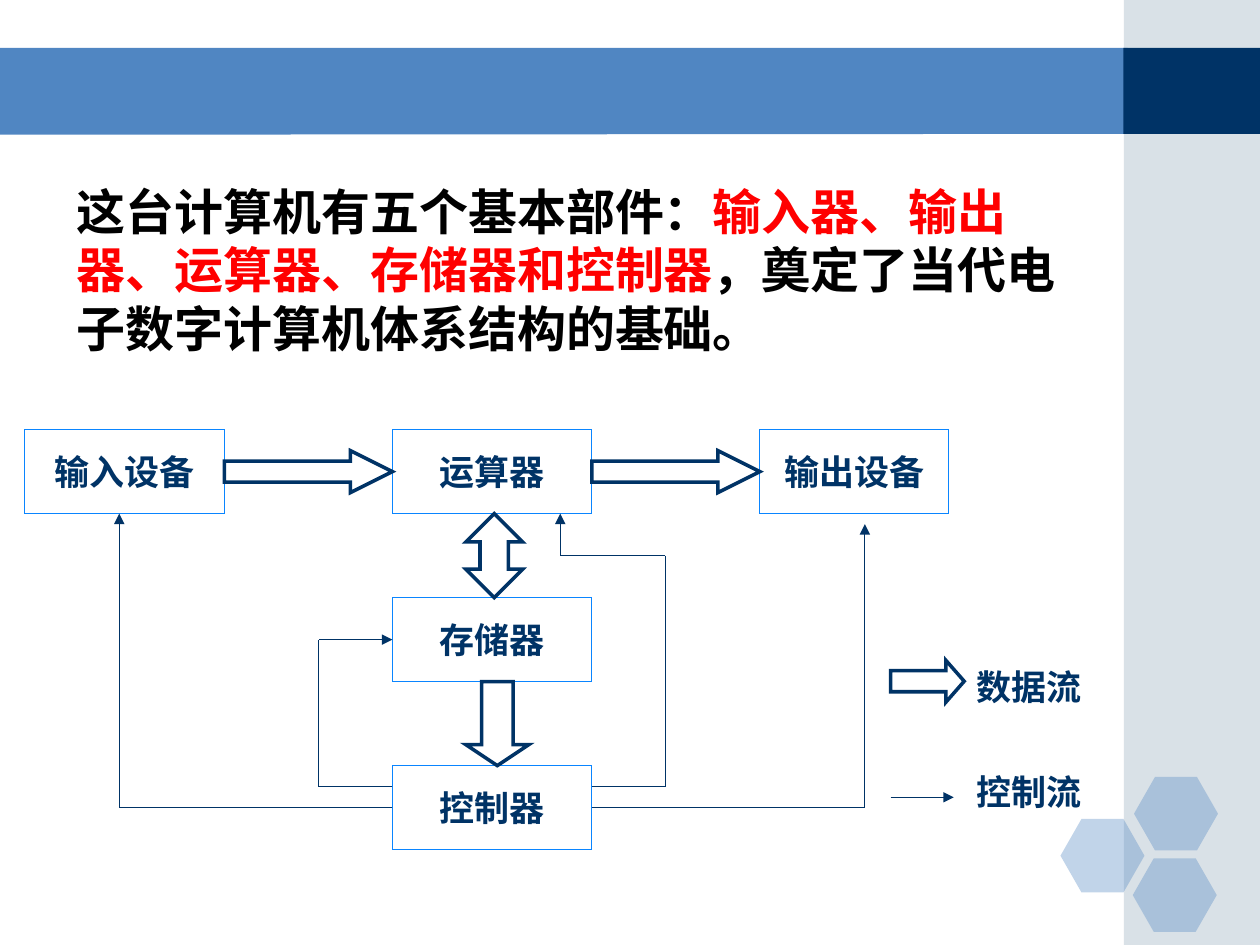
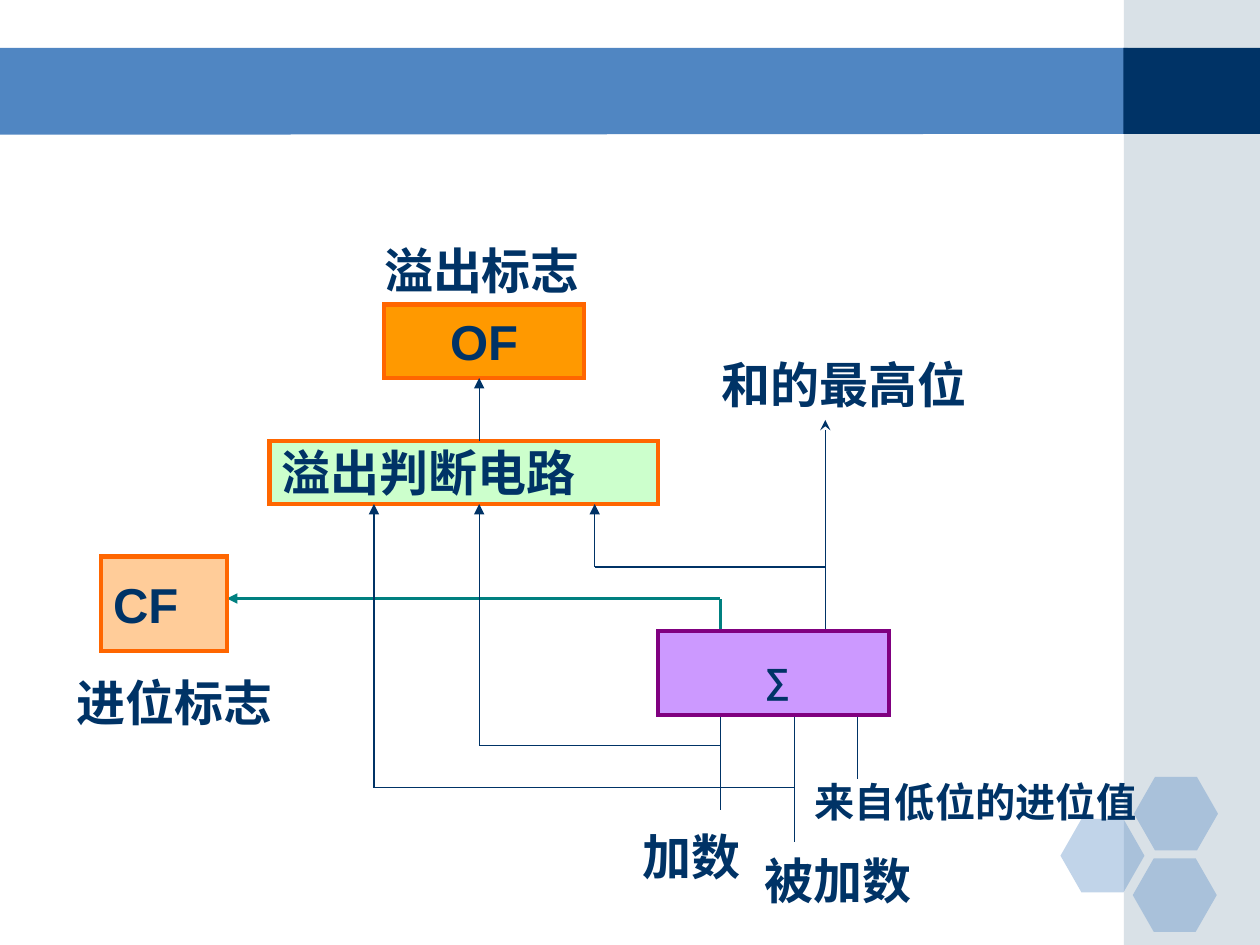
import pptx
import pptx.dml.color
import pptx.enum.shapes
import pptx.enum.text
import pptx.oxml.ns
import pptx.util
from lxml import etree

Pt = pptx.util.Pt
RGBColor = pptx.dml.color.RGBColor
SHAPE = pptx.enum.shapes.MSO_SHAPE
ALIGN = pptx.enum.text.PP_ALIGN
ANCHOR = pptx.enum.text.MSO_ANCHOR
qn = pptx.oxml.ns.qn

NAVY = RGBColor(0x00, 0x33, 0x66)
BAND_BLUE = RGBColor(0x50, 0x86, 0xC2)
SIDE_GRAY = RGBColor(0xA0, 0xB5, 0xC4)
BOX_BLUE = RGBColor(0x0A, 0x85, 0xFF)
BLACK = RGBColor(0x00, 0x00, 0x00)
WHITE = RGBColor(0xFF, 0xFF, 0xFF)
RED = RGBColor(0xFF, 0x00, 0x00)
TEAL = RGBColor(0x00, 0x80, 0x80)
ORANGE_LINE = RGBColor(0xFF, 0x66, 0x00)
ORANGE = RGBColor(0xFF, 0x99, 0x00)
PEACH = RGBColor(0xFF, 0xCC, 0x99)
MINT = RGBColor(0xCC, 0xFF, 0xCC)
LILAC = RGBColor(0xCC, 0x99, 0xFF)
PURPLE = RGBColor(0x80, 0x00, 0x80)

LATIN_FONT = "Arial"
CHINESE_FONT = "Noto Sans CJK SC"


def write_text(shape, text, size=28, color=NAVY, align=ALIGN.LEFT,
               anchor=ANCHOR.TOP, font=LATIN_FONT, inset=(7.2, 3.6)):
    runs = [(text, color)] if isinstance(text, str) else text
    frame = shape.text_frame
    frame.word_wrap = True
    frame.auto_size = pptx.enum.text.MSO_AUTO_SIZE.NONE
    frame.vertical_anchor = anchor
    frame.margin_left = frame.margin_right = Pt(inset[0])
    frame.margin_top = frame.margin_bottom = Pt(inset[1])
    paragraph = frame.paragraphs[0]
    paragraph.alignment = align
    paragraph.space_before = Pt(0)
    if not runs[0][0].isascii():
        paragraph.line_spacing = Pt(round(1.195 * size, 1))
    for run_text, run_color in runs:
        run = paragraph.add_run()
        run.text = run_text
        run.font.name = font
        run.font.size = Pt(size)
        run.font.bold = True
        run.font.color.rgb = run_color
        east_asian = etree.SubElement(run.font._element, qn("a:ea"))
        east_asian.set("typeface", CHINESE_FONT)
    return paragraph


def add_label(slide, box, text, **text_format):
    label = slide.shapes.add_textbox(*map(Pt, box))
    write_text(label, text, **text_format)


def style_shape(shape, fill=None, line=None, width=0.75, opacity=None):
    shape.shadow.inherit = False
    if fill is None:
        shape.fill.background()
    else:
        shape.fill.solid()
        shape.fill.fore_color.rgb = fill
    if opacity:
        color = shape.fill._xPr.find(qn("a:solidFill"))[0]
        etree.SubElement(color, qn("a:alpha")).set("val", str(opacity * 1000))
    if line is None:
        shape.line.fill.background()
    else:
        shape.line.color.rgb = line
        shape.line.width = Pt(width)
        outline = shape.line._get_or_add_ln()
        etree.SubElement(outline, qn("a:miter")).set("lim", "800000")


def add_block(slide, kind, box, adjustments=(), **style):
    shape = slide.shapes.add_shape(kind, *map(Pt, box))
    for index, value in enumerate(adjustments):
        shape.adjustments[index] = value
    style_shape(shape, **style)
    return shape


def add_path(slide, origin, points, arrow=None, color=NAVY, width=0.75):
    left, top = origin
    places = [(Pt(left + x), Pt(top + y)) for x, y in points]
    for start, end in zip(places, places[1:]):
        connector = slide.shapes.add_connector(
            pptx.enum.shapes.MSO_CONNECTOR.STRAIGHT, *start, *end)
        connector.line.color.rgb = color
        connector.line.width = Pt(width)
        etree.SubElement(connector._element.spPr, qn("a:effectLst"))
    if arrow:
        line = connector.line._get_or_add_ln()
        etree.SubElement(line, qn("a:tailEnd")).set("type", arrow)


def add_frame(slide):
    builder = slide.shapes.build_freeform(Pt(-0.7), Pt(27.4))
    builder.add_line_segments(
        [(Pt(644.4), Pt(27.4)), (Pt(644.4), Pt(76.5)), (Pt(-0.7), Pt(77))])
    style_shape(builder.convert_to_shape(), fill=BAND_BLUE)
    add_block(slide, SHAPE.RECTANGLE, (642.2, 0, 77.8, 540),
              fill=SIDE_GRAY, opacity=40)
    add_block(slide, SHAPE.RECTANGLE, (642, 27.4, 78, 49.2), fill=NAVY)
    for left, top in ((606, 468), (648, 444), (647.3, 490.5)):
        add_block(slide, SHAPE.HEXAGON, (left, top, 48, 42), (0.286,),
                  fill=BAND_BLUE, opacity=35)


def add_introduction(slide, box):
    body = slide.placeholders[1]
    body.left, body.top, body.width, body.height = map(Pt, box)
    paragraph = write_text(body, [
        ("这台计算机有五个基本部件：", BLACK),
        ("输入器、输出器、运算器、存储器和控制器", RED),
        ("，奠定了当代电子数字计算机体系结构的基础。", BLACK),
    ], font=CHINESE_FONT)
    properties = paragraph._p.get_or_add_pPr()
    for name in ("marL", "indent", "hangingPunct"):
        properties.set(name, "0")
    etree.SubElement(properties, qn("a:buNone"))


def add_data_arrow(slide, kind, box, *adjustments):
    add_block(slide, kind, box, adjustments, fill=WHITE, line=NAVY, width=2)


def add_computer_diagram(slide, origin):
    left, top = origin
    column, row, width, height = 210, 96, 114, 48
    units = (("输入设备", 0, 0, width), ("运算器", 1, 0, width),
             ("输出设备", 2, 0, 108), ("存储器", 1, 1, width),
             ("控制器", 1, 2, width))
    for name, column_index, row_index, unit_width in units:
        unit = add_block(slide, SHAPE.RECTANGLE,
                         (left + column_index * column, top + row_index * row,
                          unit_width, height), line=BOX_BLUE)
        write_text(unit, name, size=20, align=ALIGN.CENTER,
                   anchor=ANCHOR.MIDDLE)
    for index in range(2):
        add_data_arrow(slide, SHAPE.RIGHT_ARROW,
                       (left + index * column + width, top + 12,
                        column - width, 24), 0.5, 1)
    add_data_arrow(slide, SHAPE.UP_DOWN_ARROW,
                   (left + 252, top + height, 32.4, height), 0.296, 0.5)
    add_data_arrow(slide, SHAPE.DOWN_ARROW,
                   (left + 252, top + row + height, 36, height), 0.5, 0.333)
    control_paths = (
        [(210, 216), (54, 216), (54, 48)],
        [(324, 216), (480, 216), (480, 54)],
        [(210, 204), (168, 204), (168, 120), (210, 120)],
        [(324, 204), (366, 204), (366, 72), (306, 72), (306, 48)],
    )
    for points in control_paths:
        add_path(slide, origin, points, arrow="triangle")


def add_legend(slide, origin):
    left, top = origin
    add_data_arrow(slide, SHAPE.RIGHT_ARROW, (left, top, 42, 24), 0.5, 0.437)
    add_path(slide, origin, [(0, 78.3), (36, 78.3)], arrow="triangle")
    for index, name in enumerate(("数据流", "控制流")):
        add_label(slide, (left + 42, top - 0.7 + index * 60, 84, 32), name,
                  size=20)


def add_overflow_diagram(slide, origin):
    left, top = origin
    add_path(slide, origin, [(435.6, 227), (435.6, 107)], arrow="stealth")
    add_path(slide, origin, [(375.7, 227), (375.7, 209), (93.6, 209)],
             arrow="triangle", color=TEAL, width=2)
    boxes = (
        ("CF", (21.6, 185, 72, 54), PEACH, ALIGN.LEFT),
        ("OF", (183.6, 41, 114, 42), ORANGE, ALIGN.CENTER),
        ("溢出判断电路", (118, 119, 222, 36), MINT, ALIGN.LEFT),
    )
    for name, (x, y, width, height), fill, align in boxes:
        box = add_block(slide, SHAPE.RECTANGLE,
                        (left + x, top + y, width, height),
                        fill=fill, line=ORANGE_LINE, width=2.5)
        write_text(box, name, align=align, anchor=ANCHOR.MIDDLE)
    signal_paths = (
        [(237.8, 119), (237.8, 83)],
        [(435.6, 191), (303.8, 191), (303.8, 155)],
        [(375.7, 293), (237.8, 293), (237.8, 155)],
        [(417.8, 317), (177.7, 317), (177.7, 155)],
    )
    for points in signal_paths:
        add_path(slide, origin, points, arrow="triangle")
    for x, bottom in ((375.7, 330), (417.8, 348), (453.8, 312)):
        add_path(slide, origin, [(x, 276), (x, bottom)])
    add_block(slide, SHAPE.RECTANGLE, (left + 340, top + 227.7, 132, 48),
              fill=LILAC, line=PURPLE, width=2.5)
    add_label(slide, (left + 394, top + 240, 36, 32), "∑", size=20)
    add_label(slide, (left + 429.4, top + 311, 230, 27), "来自低位的进位值",
              size=23, font=CHINESE_FONT, inset=(0, 0))
    labels = (("加数", 324, 335.7, 96), ("被加数", 394, 349.4, 100),
              ("进位标志", 0.7, 248, 133), ("溢出标志", 176.4, 1, 140),
              ("和的最高位", 369.4, 66.4, 167))
    for name, x, y, width in labels:
        add_label(slide, (left + x, top + y, width, 41), name)


def build_computer_slide(presentation):
    slide = presentation.slides.add_slide(presentation.slide_layouts[1])
    title = slide.shapes.title._element
    title.getparent().remove(title)
    add_frame(slide)
    add_introduction(slide, (36.7, 100, 595.4, 328.3))
    add_computer_diagram(slide, (14.2, 245.5))
    add_legend(slide, (509, 377.3))


def build_overflow_slide(presentation):
    slide = presentation.slides.add_slide(presentation.slide_layouts[6])
    add_frame(slide)
    add_overflow_diagram(slide, (36, 133))


def main():
    presentation = pptx.Presentation()
    presentation.slide_width = Pt(720)
    presentation.slide_height = Pt(540)
    build_computer_slide(presentation)
    build_overflow_slide(presentation)
    presentation.save("out.pptx")


if __name__ == "__main__":
    main()
